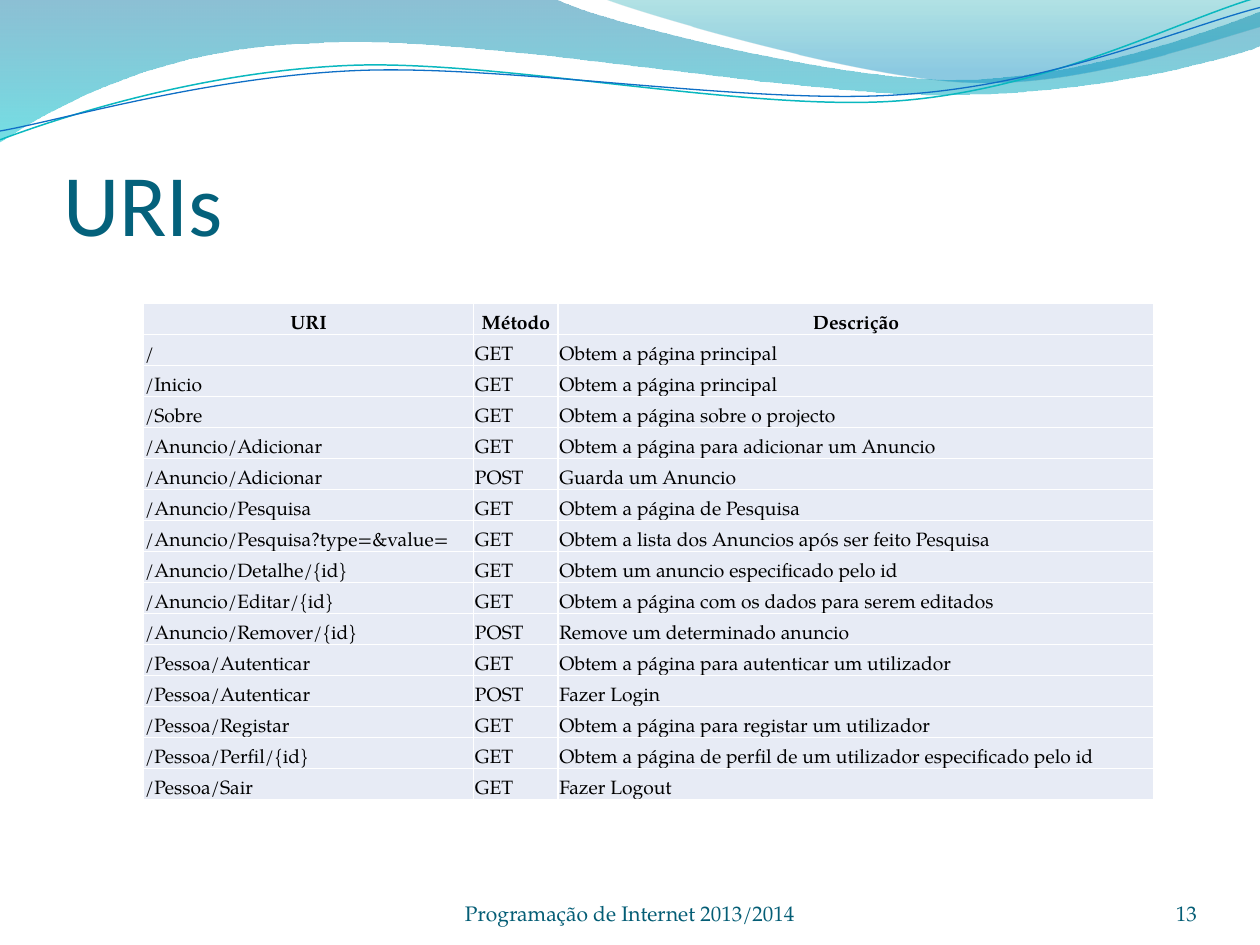
import math

import lxml.etree
import pptx
import pptx.dml.color
import pptx.enum.text
import pptx.oxml.ns
import pptx.util

Inches, Pt = pptx.util.Inches, pptx.util.Pt
RGBColor = pptx.dml.color.RGBColor
Align, Anchor = pptx.enum.text.PP_ALIGN, pptx.enum.text.MSO_ANCHOR
qn = pptx.oxml.ns.qn

WHITE = RGBColor(0xFF, 0xFF, 0xFF)
BLACK = RGBColor(0x00, 0x00, 0x00)
TITLE_BLUE = RGBColor(0x04, 0x61, 0x7B)
FOOTER_BLUE = RGBColor(0x04, 0x5D, 0x75)
CELL_FILL = RGBColor(0xE7, 0xEB, 0xF5)
DEEP_BLUE = RGBColor(0x00, 0x74, 0xA1)
CYAN = RGBColor(0x00, 0xC6, 0xCF)
TEAL = RGBColor(0x00, 0xA1, 0xA9)
SKY_BLUE = RGBColor(0x00, 0x8B, 0xBF)
LINE_TEAL = RGBColor(0x0A, 0xB8, 0xBF)
LINE_BLUE = RGBColor(0x0F, 0x6F, 0xC6)
BODY_FONT = "TeX Gyre Pagella"
CURVE_TILT = -2.7
UNITS_PER_INCH = 1000

# Each outline is a start point, then segments: one point is a straight line,
# three points are a cubic curve.
BACK_WAVE = [
    [(0, 0)], [(4.4, -0.01)],
    [(4.76, 0.17), (6.64, 0.63), (7.58, 0.63)],
    [(8.53, 0.63), (9.58, 0.26), (10, 0.09)], [(10.01, 0.36)],
    [(9.83, 0.44), (8.7, 0.76), (7.46, 0.75)],
    [(6.22, 0.75), (3.82, 0.28), (2.57, 0.34)],
    [(1.29, 0.36), (0.46, 0.83), (-0.01, 1.13)],
]
FRONT_WAVE = [
    [(4.79, -0.01)],
    [(5.09, 0.11), (6.82, 0.62), (7.69, 0.65)],
    [(8.56, 0.69), (9.61, 0.32), (10, 0.21)], [(10, 0)],
]
TEAL_CURVE = [
    [(0, 1.11)],
    [(0.48, 0.93), (1.58, 0.57), (2.77, 0.52)],
    [(3.95, 0.47), (5.93, 0.89), (7.13, 0.8)],
    [(8.33, 0.71), (9.38, 0.15), (9.98, -0.02)],
]
BLUE_CURVE = [
    [(0, 1.04)],
    [(0.47, 0.96), (1.64, 0.61), (2.83, 0.56)],
    [(4.03, 0.51), (5.97, 0.84), (7.17, 0.75)],
    [(8.36, 0.67), (9.41, 0.21), (10, 0.06)],
]

COLUMN_WIDTHS = [2.62, 0.67, 4.73]
ROW_HEIGHT = 3.94 / 16
ROUTES = [
    ("URI", "Método", "Descrição"),
    ("/", "GET", "Obtem a página principal"),
    ("/Inicio", "GET", "Obtem a página principal"),
    ("/Sobre", "GET", "Obtem a página sobre o projecto"),
    ("/Anuncio/Adicionar", "GET", "Obtem a página para adicionar um Anuncio"),
    ("/Anuncio/Adicionar", "POST", "Guarda um Anuncio"),
    ("/Anuncio/Pesquisa", "GET", "Obtem a página de Pesquisa"),
    ("/Anuncio/Pesquisa?type=&value=", "GET",
     "Obtem a lista dos Anuncios após ser feito Pesquisa"),
    ("/Anuncio/Detalhe/{id}", "GET", "Obtem um anuncio especificado pelo id"),
    ("/Anuncio/Editar/{id}", "GET",
     "Obtem a página com os dados para serem editados"),
    ("/Anuncio/Remover/{id}", "POST", "Remove um determinado anuncio"),
    ("/Pessoa/Autenticar", "GET",
     "Obtem a página para autenticar um utilizador"),
    ("/Pessoa/Autenticar", "POST", "Fazer Login"),
    ("/Pessoa/Registar", "GET", "Obtem a página para registar um utilizador"),
    ("/Pessoa/Perfil/{id}", "GET",
     "Obtem a página de perfil de um utilizador especificado pelo id"),
    ("/Pessoa/Sair", "GET", "Fazer Logout"),
]


def add_outline(slide, outline, close):
    """Add a freeform through all points, then join point triples as curves."""
    points = [(x * UNITS_PER_INCH, y * UNITS_PER_INCH)
              for segment in outline for x, y in segment]
    builder = slide.shapes.build_freeform(
        *points[0], scale=Inches(1) / UNITS_PER_INCH)
    builder.add_line_segments(points[1:], close=close)
    shape = builder.convert_to_shape()
    shape.shadow.inherit = False
    lines = iter(list(shape._element.iter(qn("a:lnTo"))))
    for segment in outline[1:]:
        group = [next(lines) for point in segment]
        if len(group) == 3:
            curve = lxml.etree.Element(qn("a:cubicBezTo"))
            group[0].addprevious(curve)
            for line in group:
                curve.append(line[0])
                line.getparent().remove(line)
    return shape


def add_wave(slide, outline, stops):
    """Add a wave filled downwards; a stop is position, colour, opacity in %."""
    wave = add_outline(slide, outline, close=True)
    wave.line.fill.background()
    wave.fill.gradient()
    wave.fill.gradient_angle = 270
    for stop, (position, color, opacity) in zip(wave.fill.gradient_stops, stops):
        stop.position = position
        stop.color.rgb = color
    colors = wave._element.iter(qn("a:srgbClr"))
    for element, (position, color, opacity) in zip(colors, stops):
        lxml.etree.SubElement(element, qn("a:alpha"), val=str(opacity * 1000))


def turn(point, center, degrees):
    """Turn a point clockwise about a center."""
    angle = math.radians(degrees)
    across, down = point[0] - center[0], point[1] - center[1]
    return (center[0] + across * math.cos(angle) - down * math.sin(angle),
            center[1] + across * math.sin(angle) + down * math.cos(angle))


def add_curve(slide, outline, center, color, width):
    """Add an open curve whose level form is tilted about its center."""
    level = [[turn(point, center, -CURVE_TILT) for point in segment]
             for segment in outline]
    curve = add_outline(slide, level, close=False)
    curve.rotation = CURVE_TILT
    curve.fill.background()
    curve.line.color.rgb = color
    curve.line.width = Pt(width)


def format_paragraph(para, font, size, color, align, bold=False):
    para.alignment = align
    para.font.name = font
    para.font.size = Pt(size)
    para.font.color.rgb = color
    para.font.bold = bold


def format_frame(frame, margin_top=0):
    frame.word_wrap = True
    frame.auto_size = pptx.enum.text.MSO_AUTO_SIZE.NONE
    frame.vertical_anchor = Anchor.BOTTOM
    frame.margin_left = frame.margin_right = frame.margin_bottom = 0
    frame.margin_top = Inches(margin_top)


def set_title(slide, text):
    title = slide.shapes.title
    title.left, title.top = Inches(0.5), Inches(0.77)
    title.width, title.height = Inches(9), Inches(1.25)
    title.text_frame.text = text
    format_frame(title.text_frame, 0.05)
    format_paragraph(title.text_frame.paragraphs[0], "Calibri", 50,
                     TITLE_BLUE, Align.LEFT)


def add_footer(slide, text, left, width, align):
    box = slide.shapes.add_textbox(Inches(left), Inches(6.95),
                                   Inches(width), Inches(0.4))
    box.text_frame.text = text
    format_frame(box.text_frame)
    format_paragraph(box.text_frame.paragraphs[0], BODY_FONT, 12,
                     FOOTER_BLUE, align)


def add_borders(cell):
    properties = cell._tc.get_or_add_tcPr()
    for side in ("a:lnL", "a:lnR", "a:lnT", "a:lnB"):
        line = lxml.etree.SubElement(properties, qn(side), w=str(Pt(1)))
        fill = lxml.etree.SubElement(line, qn("a:solidFill"))
        lxml.etree.SubElement(fill, qn("a:srgbClr"), val=str(WHITE))


def add_routes_table(slide):
    table = slide.shapes.add_table(
        len(ROUTES), len(COLUMN_WIDTHS), Inches(1.14), Inches(2.41),
        Inches(sum(COLUMN_WIDTHS)), Inches(ROW_HEIGHT * len(ROUTES))).table
    for column, width in zip(table.columns, COLUMN_WIDTHS):
        column.width = Inches(width)
    for row_index, route in enumerate(ROUTES):
        header = row_index == 0
        table.rows[row_index].height = Inches(ROW_HEIGHT)
        for cell, text in zip(table.rows[row_index].cells, route):
            add_borders(cell)
            cell.fill.solid()
            cell.fill.fore_color.rgb = CELL_FILL
            cell.margin_left = cell.margin_right = cell.margin_top = Inches(0.01)
            cell.margin_bottom = 0
            cell.vertical_anchor = Anchor.BOTTOM
            cell.text = text
            format_paragraph(cell.text_frame.paragraphs[0], BODY_FONT, 11, BLACK,
                             Align.CENTER if header else Align.LEFT, header)


def main():
    deck = pptx.Presentation()
    deck.slide_width, deck.slide_height = Inches(10), Inches(7.5)
    slide = deck.slides.add_slide(deck.slide_layouts.get_by_name("Title Only"))
    add_wave(slide, BACK_WAVE, [(0, DEEP_BLUE, 45), (1, CYAN, 55)])
    add_wave(slide, FRONT_WAVE, [(0, TEAL, 30), (0.8, SKY_BLUE, 45)])
    add_curve(slide, TEAL_CURVE, (4.99, 0.58), LINE_TEAL, 0.85)
    add_curve(slide, BLUE_CURVE, (5, 0.59), LINE_BLUE, 0.75)
    set_title(slide, "URIs")
    add_footer(slide, "Programação de Internet 2013/2014", 0, 10, Align.CENTER)
    add_footer(slide, "13", 8.67, 0.83, Align.RIGHT)
    add_routes_table(slide)
    deck.save("out.pptx")


if __name__ == "__main__":
    main()
